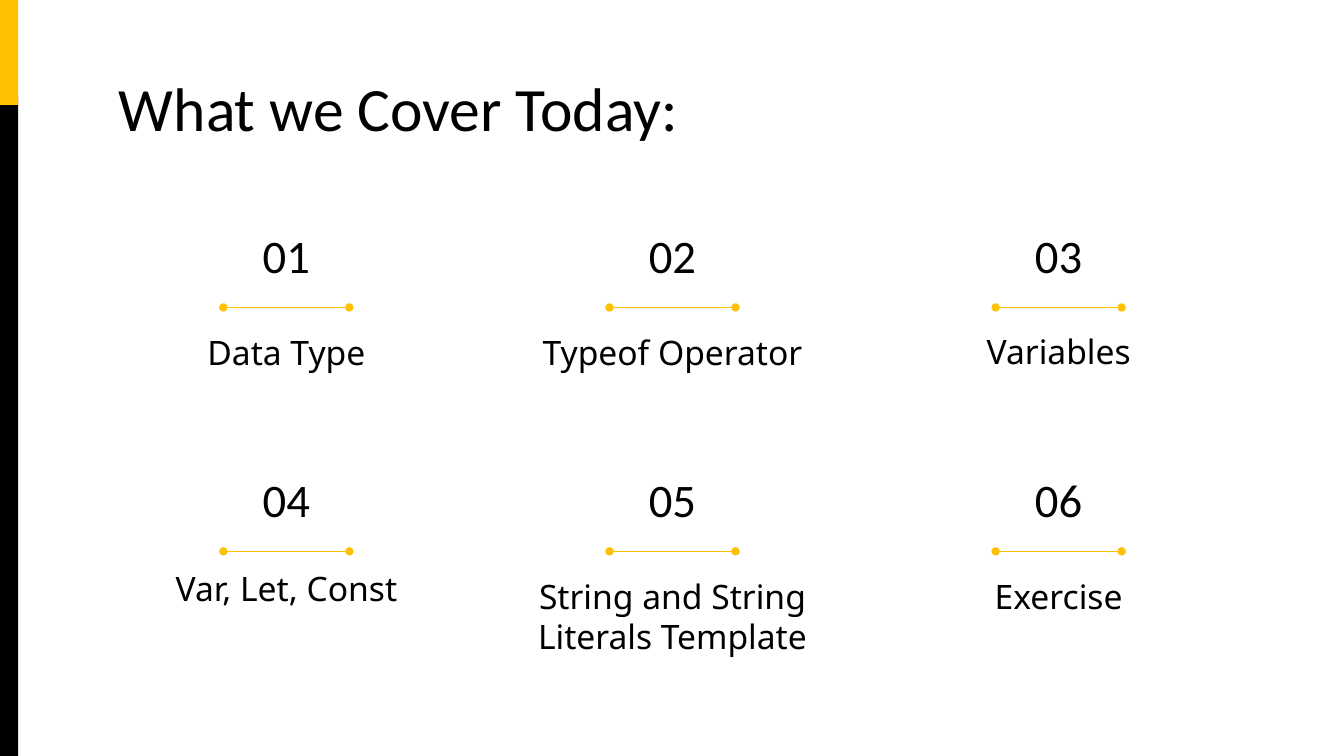
from lxml import etree
from pptx import Presentation
from pptx.dml.color import RGBColor
from pptx.enum.shapes import MSO_CONNECTOR, MSO_SHAPE
from pptx.enum.text import MSO_ANCHOR, PP_ALIGN
from pptx.oxml.ns import qn
from pptx.util import Inches, Pt

RECTANGLE = MSO_SHAPE.RECTANGLE
STRAIGHT = MSO_CONNECTOR.STRAIGHT
TOP, BOTTOM = MSO_ANCHOR.TOP, MSO_ANCHOR.BOTTOM
LEFT, CENTER = PP_ALIGN.LEFT, PP_ALIGN.CENTER


def color(value):
    return RGBColor.from_string(value)


class AgendaSlide:
    heading_font = "Calibri"
    body_font = "Noto Sans"
    ink = "000000"
    accent = "FFC000"
    inset = 0.13

    def __init__(self, slide):
        self.shapes = slide.shapes

    def bar(self, left, top, width, height, fill):
        bar = self.shapes.add_shape(
            RECTANGLE, Inches(left), Inches(top), Inches(width), Inches(height))
        bar.shadow.inherit = False
        bar.fill.solid()
        bar.fill.fore_color.rgb = color(fill)
        bar.line.fill.background()

    def text(self, words, left, top, width, height, size, font,
             align=CENTER, anchor=TOP, spacing=1.0):
        box = self.shapes.add_textbox(
            Inches(left), Inches(top), Inches(width), Inches(height))
        frame = box.text_frame
        frame.word_wrap = True
        frame.vertical_anchor = anchor
        frame.margin_left = frame.margin_right = Inches(self.inset)
        frame.margin_top = frame.margin_bottom = Inches(self.inset)
        frame.text = words
        paragraph = frame.paragraphs[0]
        paragraph.alignment = align
        paragraph.line_spacing = spacing
        for run in paragraph.runs:
            run.font.size = Pt(size)
            run.font.name = font
            run.font.color.rgb = color(self.ink)

    def heading(self, words, left, top, width, height, size, align, anchor):
        self.text(words, left, top, width, height, size, self.heading_font,
                  align, anchor, 0.9)

    def divider(self, center, y, width):
        divider = self.shapes.add_connector(
            STRAIGHT, Inches(center - width / 2), Inches(y),
            Inches(center + width / 2), Inches(y))
        divider.line.color.rgb = color(self.accent)
        divider.line.width = Pt(0.75)
        outline = divider.line._get_or_add_ln()
        for end in ("a:headEnd", "a:tailEnd"):
            etree.SubElement(outline, qn(end), type="oval")
        etree.SubElement(divider._element.spPr, qn("a:effectLst"))

    def topic(self, number, words, center, top, caption_top):
        self.heading(f"{number:02d}", center - 0.57, top, 1.14, 0.91, 33.3,
                     CENTER, BOTTOM)
        self.divider(center, top + 1.02, 1.25)
        self.text(words, center - 1.785, caption_top, 3.57, 0.65, 24,
                  self.body_font)


def main():
    presentation = Presentation()
    presentation.slide_width = Inches(13.33)
    presentation.slide_height = Inches(7.5)
    agenda = AgendaSlide(
        presentation.slides.add_slide(presentation.slide_layouts[6]))

    agenda.bar(0, 0.95, 0.18, 6.55, agenda.ink)
    agenda.bar(0, 0, 0.18, 1.04, agenda.accent)
    agenda.heading("What we Cover Today:", 1.05, 0.65, 11.23, 0.84, 44,
                   LEFT, TOP)

    topics = [
        ("Data Type", 3.16),
        ("Typeof Operator", 3.16),
        ("Variables", 3.15),
        ("Var, Let, Const", 5.5),
        ("String and String Literals Template", 5.58),
        ("Exercise", 5.58),
    ]
    for index, (words, caption_top) in enumerate(topics):
        row, column = divmod(index, 3)
        agenda.topic(index + 1, words, 2.84 + 3.83 * column,
                     2.03 + 2.42 * row, caption_top)

    presentation.save("out.pptx")


if __name__ == "__main__":
    main()
